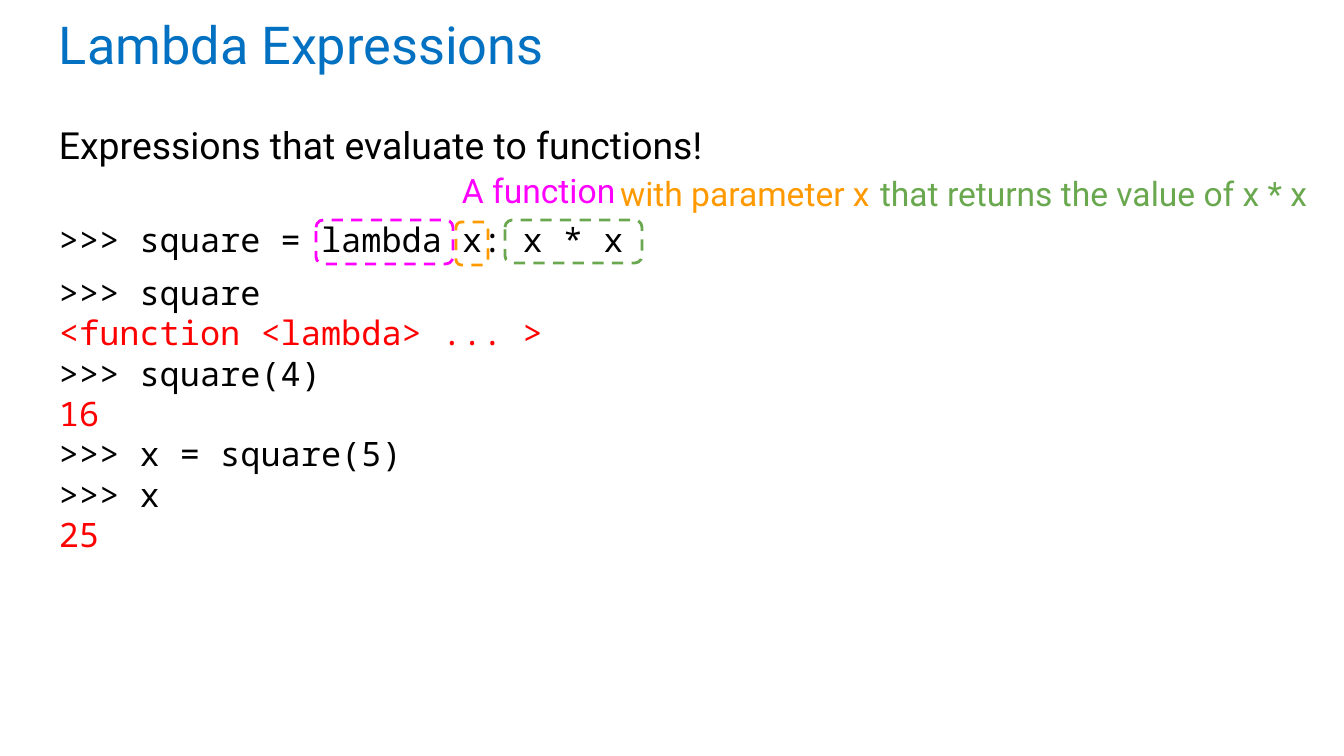
from lxml.etree import SubElement
from pptx import Presentation
from pptx.dml.color import RGBColor
from pptx.enum.dml import MSO_LINE
from pptx.enum.shapes import MSO_SHAPE
from pptx.enum.text import MSO_ANCHOR, MSO_AUTO_SIZE, PP_ALIGN
from pptx.oxml.ns import qn
from pptx.util import Emu, Pt

SCALE = 914400 / 134.4  # EMU in one px
INSET = 13
SANS, MONO = "Roboto", "Noto Sans Mono"
BLACK, RED, BLUE = "000000", "FF0000", "0371C1"

# Shell lines with their colours
SHELL = [
    (">>> square", BLACK),
    ("<function <lambda> ... >", RED),
    (">>> square(4)", BLACK),
    ("16", RED),
    (">>> x = square(5)", BLACK),
    (">>> x", BLACK),
    ("25", RED),
]

# Colour, dashed frame, label text, label box
NOTES = [
    ("FF00FF", (316, 220, 137, 44), "A function", (449, 157, 183, 52)),
    ("FF9900", (456, 222, 32, 43), "with parameter x", (607, 160, 282, 51)),
    ("6AA84F", (505, 220, 137, 43), "that returns the value of x * x",
     (867, 160, 462, 63)),
]


def px(num):
    return Emu(round(num * SCALE))


def color(code):
    return RGBColor.from_string(code)


def place(shape, box):
    shape.left, shape.top, shape.width, shape.height = map(px, box)


def write(shape, lines, font, size, top=INSET):
    """Fill a text shape with (text, colour) lines, one paragraph each."""
    frame = shape.text_frame
    frame.word_wrap = True
    frame.auto_size = MSO_AUTO_SIZE.NONE
    frame.vertical_anchor = MSO_ANCHOR.TOP
    frame.margin_left = frame.margin_right = frame.margin_bottom = px(INSET)
    frame.margin_top = px(top)
    frame.text = "\n".join(text for text, _ in lines)
    for para, (_, code) in zip(frame.paragraphs, lines):
        para.alignment = PP_ALIGN.LEFT
        para.font.name = font
        para.font.size = Pt(size)
        para.font.color.rgb = color(code)


def add_text(shapes, box, lines, font, top=INSET):
    write(shapes.add_textbox(*map(px, box)), lines, font, 18, top)


def add_frame(shapes, box, code):
    frame = shapes.add_shape(MSO_SHAPE.ROUNDED_RECTANGLE, *map(px, box))
    frame.shadow.inherit = False
    frame.fill.background()
    frame.line.color.rgb = color(code)
    frame.line.width = Pt(1.5)
    frame.line.dash_style = MSO_LINE.DASH


def add_note(slide, code, frame, text, box):
    group = slide.shapes.add_group_shape()
    add_frame(group.shapes, frame, code)
    add_text(group.shapes, box, [(text, code)], SANS)


def fill_body(body):
    place(body, (46, 102, 1253, 63))
    write(body, [("Expressions that evaluate to functions!", BLACK)], SANS, 20)
    para = body.text_frame.paragraphs[0]
    para.line_spacing = 1.15
    para.space_before = Pt(0)
    para.space_after = Pt(16)
    # No bullet and no hanging indent
    props = para._p.get_or_add_pPr()
    props.set("marL", "0")
    props.set("indent", "0")
    SubElement(props, qn("a:buNone"))


def main():
    deck = Presentation()
    deck.slide_width, deck.slide_height = px(1344), px(756)
    slide = deck.slides.add_slide(deck.slide_layouts[1])

    # Title and lead line
    title = slide.shapes.title
    place(title, (46, -1, 1253, 85))
    write(title, [("Lambda Expressions", BLUE)], SANS, 28)
    fill_body(slide.placeholders[1])

    # Lambda line, set lower to leave room for the labels
    add_text(slide.shapes, (46, 165, 616, 234),
             [(">>> square = lambda x: x * x", BLACK)], MONO, 54)

    # Frames and labels for the parts of the lambda
    for note in NOTES:
        add_note(slide, *note)

    # Shell session
    add_text(slide.shapes, (46, 259, 616, 251), SHELL, MONO)
    deck.save("out.pptx")


if __name__ == "__main__":
    main()
